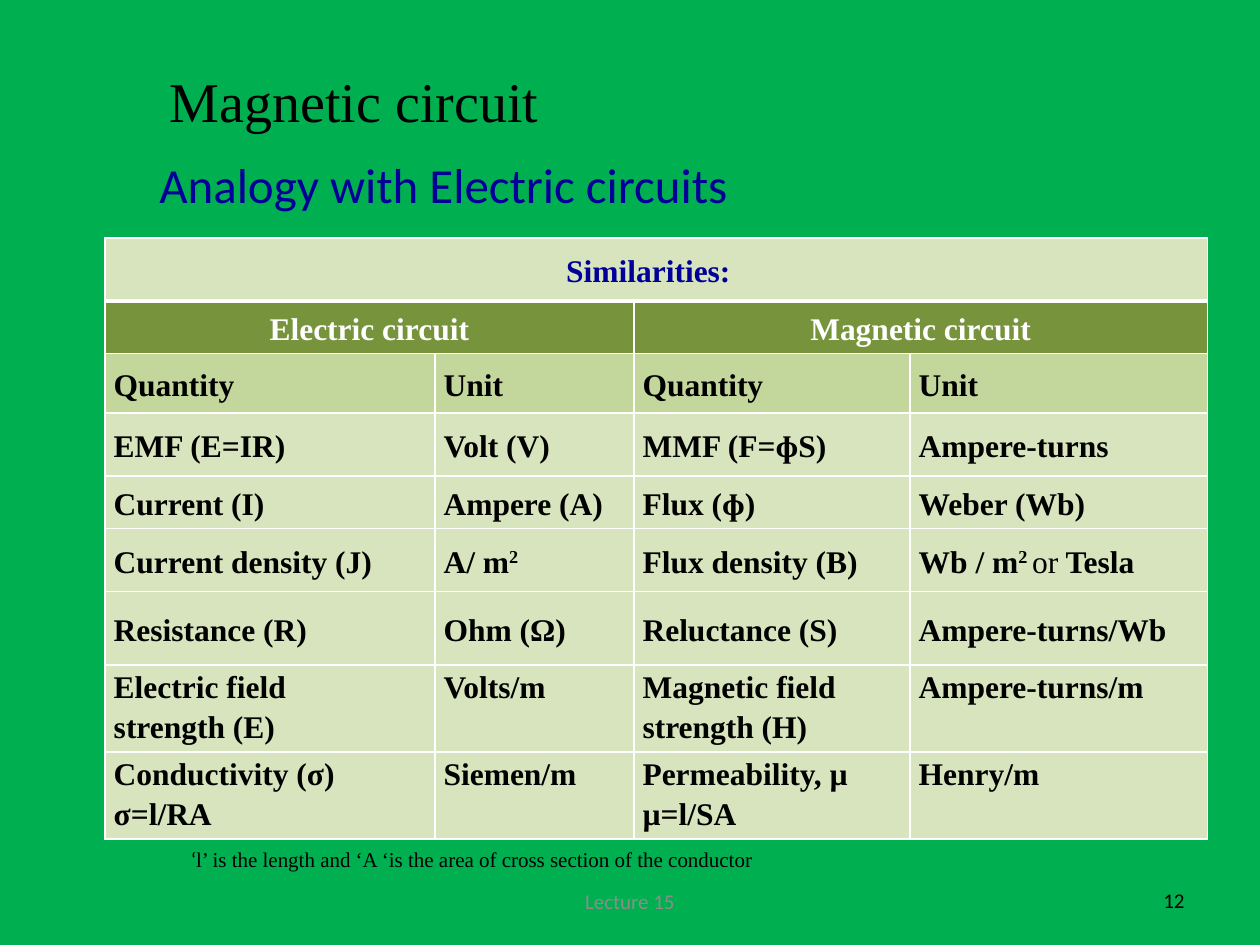
import pptx
import pptx.util
import pptx.dml.color
import pptx.enum.text
import pptx.oxml
import pptx.oxml.ns

Pt = pptx.util.Pt
RGBColor = pptx.dml.color.RGBColor
ALIGN = pptx.enum.text.PP_ALIGN
ANCHOR = pptx.enum.text.MSO_ANCHOR

GREEN = RGBColor(0x00, 0xB0, 0x50)
NAVY = RGBColor(0x00, 0x00, 0x99)
BLACK = RGBColor(0x00, 0x00, 0x00)
WHITE = RGBColor(0xFF, 0xFF, 0xFF)
GRAY = RGBColor(0x8C, 0x8C, 0x8C)
PALE = RGBColor(0xD7, 0xE4, 0xBD)
LIGHT = RGBColor(0xC3, 0xD6, 0x9B)
OLIVE = RGBColor(0x77, 0x93, 0x3C)
SANS = "Calibri"
SERIF = "Times New Roman"


def add_run(p, text, size, font, color, bold=False):
    r = p.add_run()
    r.text = text
    r.font.size = Pt(size)
    r.font.name = font
    r.font.bold = bold
    r.font.color.rgb = color
    return r


def add_border(cell, side, width):
    cell._tc.get_or_add_tcPr().append(pptx.oxml.parse_xml(
        f'<a:{side} {pptx.oxml.ns.nsdecls("a")} w="{Pt(width)}">'
        f'<a:solidFill><a:srgbClr val="{WHITE}"/></a:solidFill></a:{side}>'))


prs = pptx.Presentation()
prs.slide_width = Pt(720)
prs.slide_height = Pt(540)
s = prs.slides.add_slide(prs.slide_layouts[6])
s.background.fill.solid()
s.background.fill.fore_color.rgb = GREEN

texts = [
    (90, 24, 606, 66, ANCHOR.MIDDLE, ALIGN.LEFT, 32, BLACK, [("Magnetic circuit", SERIF)]),
    (84, 72, 606, 66, ANCHOR.MIDDLE, ALIGN.LEFT, 28, NAVY, [("Analogy with Electric circuits", SANS)]),
    (102, 480, 516, 21.8, ANCHOR.TOP, ALIGN.LEFT, 12, BLACK,
     [("‘", SANS), ("l’ is the length and ‘A ‘is the area of cross section of the conductor", SERIF)]),
    (246, 500.5, 228, 28.75, ANCHOR.MIDDLE, ALIGN.CENTER, 12, GRAY, [("Lecture 15", SANS)]),
    (654, 500.5, 30, 27.5, ANCHOR.MIDDLE, ALIGN.RIGHT, 12, BLACK, [("12", SANS)]),
]
for x, y, w, h, anchor, align, size, color, runs in texts:
    sp = s.shapes.add_textbox(Pt(x), Pt(y), Pt(w), Pt(h))
    tf = sp.text_frame
    tf.word_wrap = True
    tf.vertical_anchor = anchor
    p = tf.paragraphs[0]
    p.alignment = align
    for text, font in runs:
        add_run(p, text, size, font, color)

rows = [
    ["Similarities:", "", "", ""],
    ["Electric circuit", "", "Magnetic circuit", ""],
    ["Quantity", "Unit", "Quantity", "Unit"],
    ["EMF (E=IR)", "Volt (V)", "MMF (F=ɸS)", "Ampere-turns"],
    ["Current (I)", "Ampere (A)", "Flux (ɸ)", "Weber (Wb)"],
    ["Current density (J)", [("A/ m", ""), ("2", "super")], "Flux density (B)",
     [("Wb / m", ""), ("2 ", "super"), ("or", "plain"), (" Tesla", "")]],
    ["Resistance (R)", "Ohm (Ω)", "Reluctance (S)", "Ampere-turns/Wb"],
    ["Electric field\nstrength (E)", "Volts/m", "Magnetic field\nstrength (H)", "Ampere-turns/m"],
    ["Conductivity (σ)\nσ=l/RA", "Siemen/m", "Permeability, µ\nµ=l/SA", "Henry/m"],
]
widths = [188.5, 113.75, 157.75, 170]
heights = [36, 30, 34, 36, 30, 36, 42, 49.75, 49.75]
styles = [(PALE, NAVY), (OLIVE, WHITE), (LIGHT, BLACK)] + [(PALE, BLACK)] * 6

table = s.shapes.add_table(len(rows), len(widths), Pt(60), Pt(136),
                           Pt(sum(widths)), Pt(sum(heights))).table
for column, width in zip(table.columns, widths):
    column.width = Pt(width)
for row, height in zip(table.rows, heights):
    row.height = Pt(height)
table.cell(0, 0).merge(table.cell(0, 3))
table.cell(1, 0).merge(table.cell(1, 1))
table.cell(1, 2).merge(table.cell(1, 3))

for i, (row, (fill, color)) in enumerate(zip(rows, styles)):
    for j, content in enumerate(row):
        cell = table.cell(i, j)
        for side in ("lnL", "lnR", "lnT", "lnB"):
            thick = (i, side) in ((0, "lnB"), (1, "lnT"))
            add_border(cell, side, 3 if thick else 1)
        cell.fill.solid()
        cell.fill.fore_color.rgb = fill
        cell.margin_left = Pt(5)
        cell.margin_right = Pt(14 if i == 0 else 5)
        cell.margin_top = cell.margin_bottom = Pt(0)
        cell.vertical_anchor = ANCHOR.MIDDLE if i < 7 else ANCHOR.TOP
        if cell.is_spanned:
            continue
        if isinstance(content, str):
            paragraphs = [[(line, "")] for line in content.split("\n")]
        else:
            paragraphs = [content]
        tf = cell.text_frame
        for k, runs in enumerate(paragraphs):
            p = tf.add_paragraph() if k else tf.paragraphs[0]
            p.alignment = ALIGN.CENTER if i < 2 else ALIGN.JUSTIFY
            p.line_spacing = 1.15
            for text, style in runs:
                r = add_run(p, text, 18, SERIF, color, style != "plain")
                if style == "super":
                    r.font._element.set("baseline", "30000")

prs.save("out.pptx")
